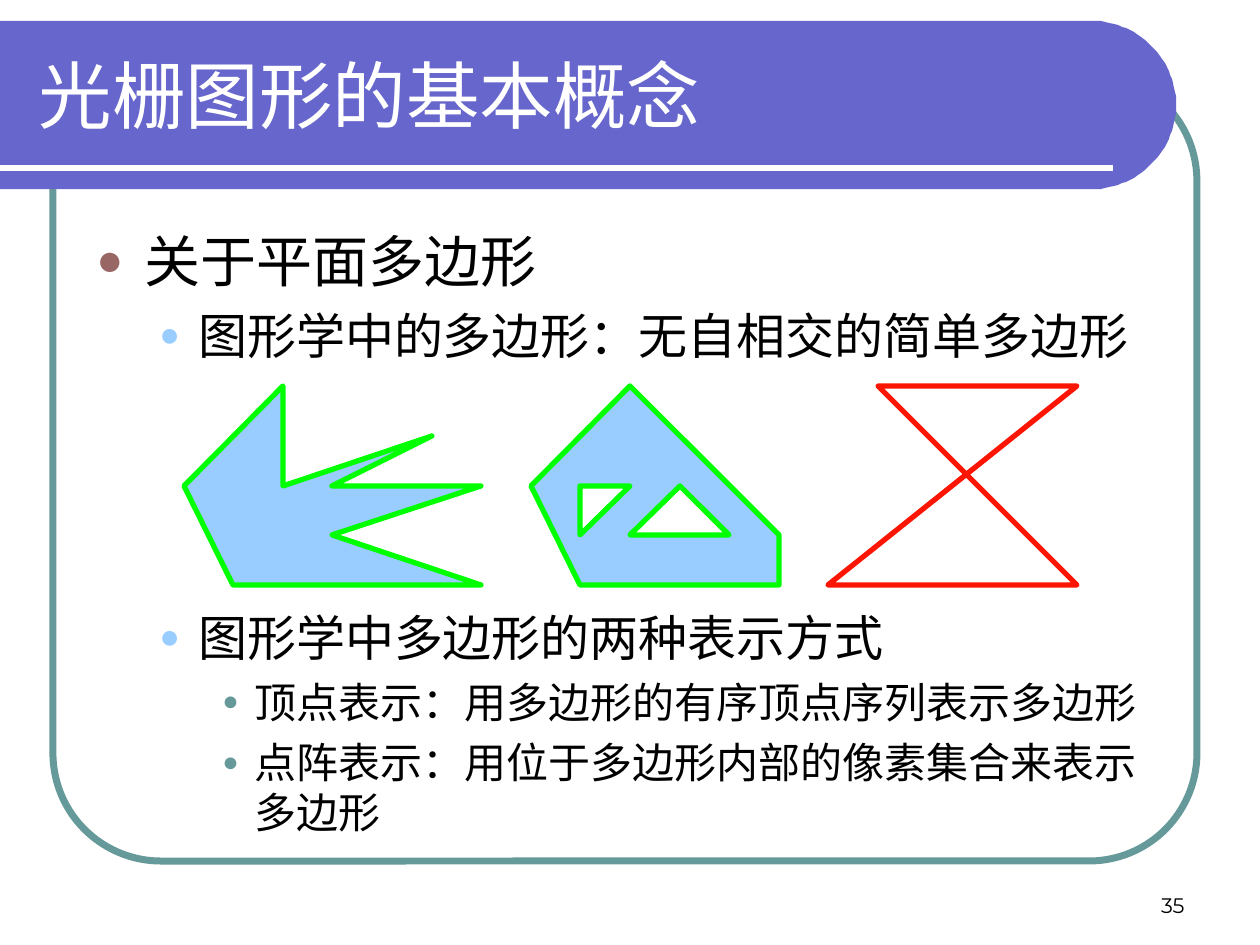
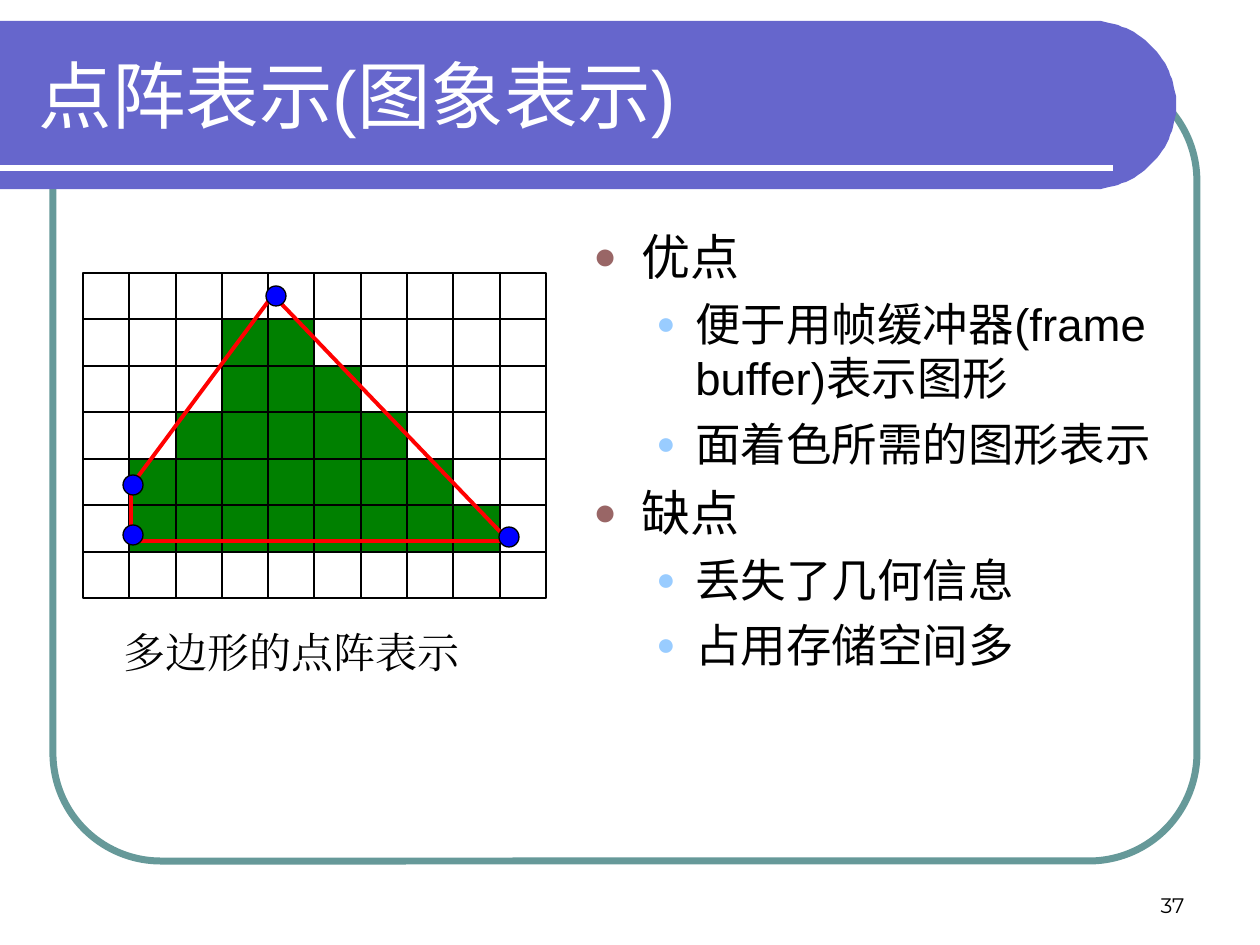
import math

from lxml import etree
from pptx import Presentation, util as u
from pptx.dml.color import RGBColor
from pptx.enum import shapes, text
from pptx.oxml.ns import qn

PX = u.Inches(1) / 126
FONT = "Arial"
LINE_HEIGHT = 1.19
COLORS = {
    "white": "FFFFFF", "black": "000000", "band": "6666CC", "frame": "669999",
    "bullet": "996666", "sky": "99CCFF", "lime": "00FF00", "invalid": "FD1503",
    "pixel": "008000", "edge": "FF0000", "vertex": "0000FF",
}
# Per level: left margin px, hanging px, bullet colour, bullet size in percent
LEVELS = [(48, 48, "bullet", 80), (102, 39, "sky", 70), (158, 32, "frame", 65)]


def px(value):
    return u.Emu(round(value * PX))


def rgb(name):
    return RGBColor.from_string(COLORS[name])


def paint(shape, fill=None, line=None, line_width=0.75):
    shape.shadow.inherit = False
    if fill:
        shape.fill.solid()
        shape.fill.fore_color.rgb = rgb(fill)
    else:
        shape.fill.background()
    if line:
        shape.line.color.rgb = rgb(line)
        shape.line.width = u.Pt(line_width)
    else:
        shape.line.fill.background()


def add_preset(slide, kind, left, top, width, height, **style):
    shape = slide.shapes.add_shape(kind, px(left), px(top), px(width), px(height))
    paint(shape, **style)
    return shape


def add_polygon(slide, points, **style):
    builder = slide.shapes.build_freeform(*points[0], scale=PX)
    builder.add_line_segments(points[1:], close=True)
    paint(builder.convert_to_shape(), **style)


def write(paragraph, content, size, color="black", font=FONT, align=text.PP_ALIGN.LEFT, before=0):
    paragraph.alignment = align
    paragraph.space_before = u.Pt(before)
    paragraph.line_spacing = u.Pt(round(size * LINE_HEIGHT, 1))
    run = paragraph.add_run()
    run.text = content
    run.font.size = u.Pt(size)
    run.font.name = font
    run.font.color.rgb = rgb(color)
    properties = run._r.get_or_add_rPr()
    properties.set("lang", "zh-CN")
    east_asian = etree.Element(qn("a:ea"), typeface=font)
    properties.find(qn("a:latin")).addnext(east_asian)


def add_text_box(slide, left, top, width, height, anchor=text.MSO_ANCHOR.TOP):
    frame = slide.shapes.add_textbox(px(left), px(top), px(width), px(height)).text_frame
    frame.word_wrap = True
    frame.vertical_anchor = anchor
    return frame


def set_bullet(paragraph, level):
    margin, hanging, color, percent = LEVELS[level]
    paragraph.level = level
    properties = paragraph._p.get_or_add_pPr()
    properties.set("marL", str(px(margin)))
    properties.set("indent", str(-px(hanging)))
    bullet_color = etree.SubElement(properties, qn("a:buClr"))
    etree.SubElement(bullet_color, qn("a:srgbClr"), val=COLORS[color])
    etree.SubElement(properties, qn("a:buSzPct"), val=str(percent * 1000))
    etree.SubElement(properties, qn("a:buFont"), typeface=FONT)
    etree.SubElement(properties, qn("a:buChar"), char="●")


def add_outline(slide, left, top, width, height, items):
    """Write items of (level, size, space before, text) as a bulleted list."""
    frame = add_text_box(slide, left, top, width, height)
    for index, (level, size, before, content) in enumerate(items):
        paragraph = frame.add_paragraph() if index else frame.paragraphs[0]
        set_bullet(paragraph, level)
        write(paragraph, content, size, before=before)


def add_band(slide):
    """Draw the title band, whose right end is a half circle."""
    top, radius, straight = 21, 84, 1092
    angles = [math.radians(degrees) for degrees in range(-90, 91, 3)]
    arc = [(straight + radius * math.cos(a), top + radius + radius * math.sin(a)) for a in angles]
    add_polygon(slide, [(0, top), *arc, (0, top + 2 * radius)], fill="band")


def add_rule(slide):
    rule = slide.shapes.add_connector(
        shapes.MSO_CONNECTOR.STRAIGHT, px(0), px(168), px(1113), px(168))
    rule.line.color.rgb = rgb("white")
    rule.line.width = u.Pt(3)
    etree.SubElement(rule._element.spPr, qn("a:effectLst"))


def add_title(slide, content):
    title = slide.shapes.title
    title.left, title.top, title.width, title.height = px(26), px(31), px(1105), px(126)
    frame = title.text_frame
    frame.auto_size = text.MSO_AUTO_SIZE.NONE
    frame.vertical_anchor = text.MSO_ANCHOR.MIDDLE
    write(frame.paragraphs[0], content, 42, color="white")
    slide.shapes.element.append(title.element)  # bring in front of the band


def new_slide(presentation, title, number):
    slide = presentation.slides.add_slide(presentation.slide_layouts[5])
    frame = add_preset(slide, shapes.MSO_SHAPE.ROUNDED_RECTANGLE, 53, 73, 1144, 788,
                       line="frame", line_width=4)
    frame.adjustments[0] = 0.137
    add_band(slide)
    add_rule(slide)
    add_title(slide, title)
    footer = add_text_box(slide, 903, 861, 294, 63, anchor=text.MSO_ANCHOR.BOTTOM)
    write(footer.paragraphs[0], str(number), 12, font="Montserrat", align=text.PP_ALIGN.RIGHT)
    return slide


def add_polygon_examples(slide):
    concave = [(283, 386), (184, 486), (233, 585), (481, 585), (332, 535),
               (481, 486), (332, 486), (432, 436), (283, 486)]
    outer = [(630, 386), (531, 486), (580, 585), (779, 585), (779, 535)]
    holes = [[(630, 486), (580, 486), (580, 535)], [(680, 486), (630, 535), (729, 535)]]
    crossing = [(878, 386), (1077, 386), (828, 585), (1077, 585)]
    for points in (concave, outer):
        add_polygon(slide, points, fill="sky", line="lime", line_width=3)
    for points in holes:
        add_polygon(slide, points, fill="white", line="lime", line_width=3)
    add_polygon(slide, crossing, line="invalid", line_width=3)


def add_pixel_grid(slide):
    columns, rows = 10, 7
    filled = {1: range(3, 5), 2: range(3, 6), 3: range(2, 7), 4: range(1, 8), 5: range(1, 9)}
    x_edges = [round(83 + 463 * column / columns) for column in range(columns + 1)]
    y_edges = [round(273 + 325 * row / rows) for row in range(rows + 1)]
    for column in range(columns):
        for row in range(rows):
            left, top = x_edges[column], y_edges[row]
            add_preset(slide, shapes.MSO_SHAPE.RECTANGLE, left, top,
                       x_edges[column + 1] - left, y_edges[row + 1] - top,
                       fill="pixel" if column in filled.get(row, ()) else None, line="black")


def add_vertex_polygon(slide):
    add_polygon(slide, [(273, 295), (131, 486), (131, 541), (509, 541)],
                line="edge", line_width=2.25)
    radius = 10
    for x, y in [(276, 296), (133, 485), (133, 535), (509, 537)]:
        add_preset(slide, shapes.MSO_SHAPE.OVAL, x - radius, y - radius, 2 * radius, 2 * radius,
                   fill="vertex", line="black")


def add_polygon_slide(presentation):
    slide = new_slide(presentation, "光栅图形的基本概念", 35)
    add_outline(slide, 84, 221, 1092, 649, [
        (0, 32, 0, "关于平面多边形"),
        (1, 28, 7, "图形学中的多边形：无自相交的简单多边形"),
        (1, 28, 139, "图形学中多边形的两种表示方式"),
        (2, 24, 6, "顶点表示：用多边形的有序顶点序列表示多边形"),
        (2, 24, 6, "点阵表示：用位于多边形内部的像素集合来表示多边形"),
    ])
    add_polygon_examples(slide)


def add_raster_slide(presentation):
    slide = new_slide(presentation, "点阵表示(图象表示)", 37)
    add_outline(slide, 581, 221, 596, 609, [
        (0, 28, 0, "优点"),
        (1, 26, 6.5, "便于用帧缓冲器(frame buffer)表示图形"),
        (1, 26, 6.5, "面着色所需的图形表示"),
        (0, 28, 7, "缺点"),
        (1, 26, 6.5, "丢失了几何信息"),
        (1, 26, 6.5, "占用存储空间多"),
    ])
    add_pixel_grid(slide)
    add_vertex_polygon(slide)
    caption = add_text_box(slide, 93, 621, 397, 63)
    write(caption.paragraphs[0], "多边形的点阵表示", 24, font="Times New Roman",
          align=text.PP_ALIGN.CENTER)


def main():
    presentation = Presentation()
    presentation.slide_width, presentation.slide_height = u.Inches(10), u.Inches(7.5)
    add_polygon_slide(presentation)
    add_raster_slide(presentation)
    presentation.save("out.pptx")


if __name__ == "__main__":
    main()
